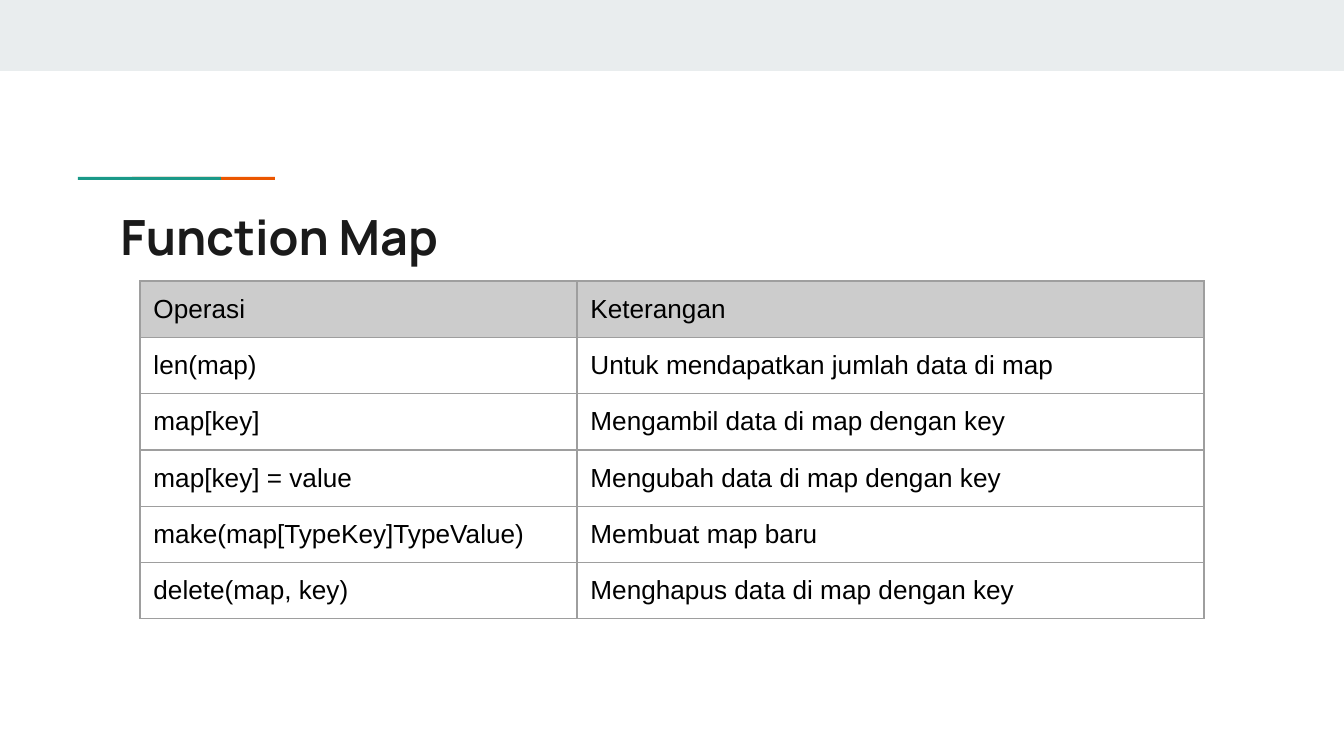
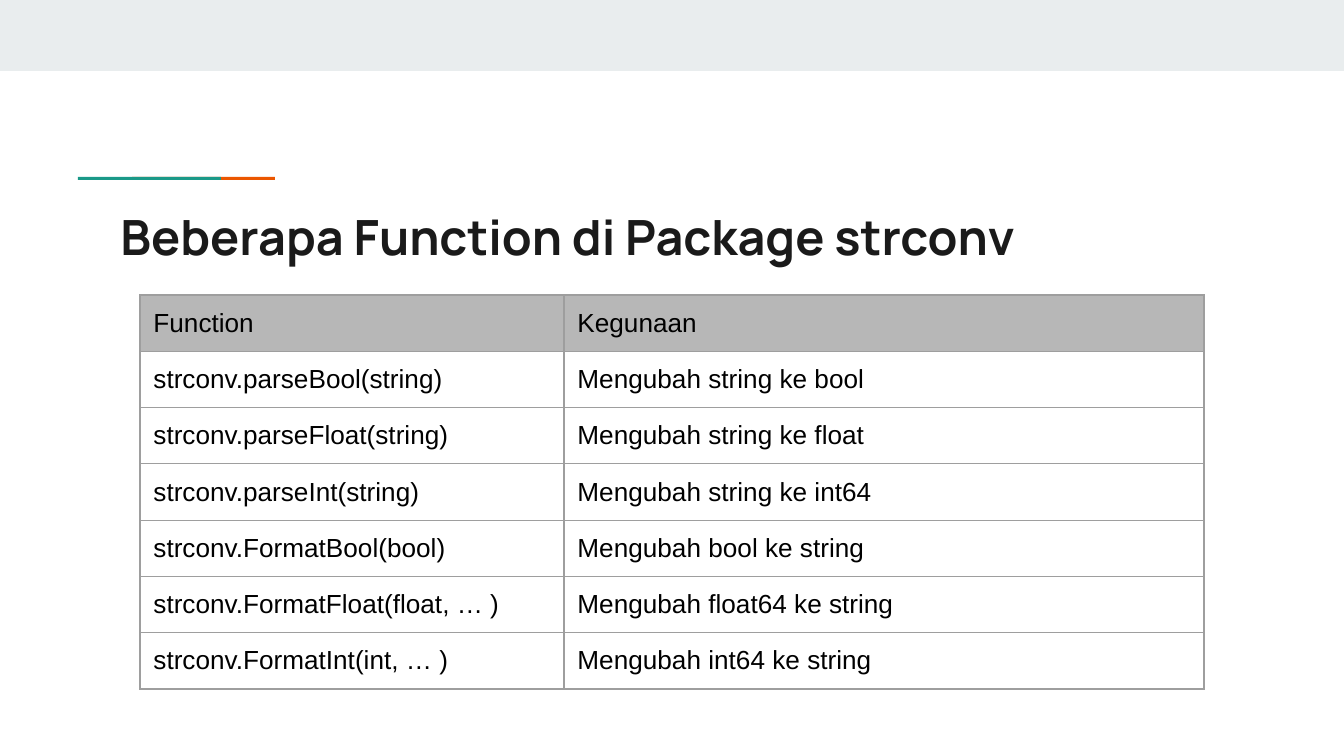
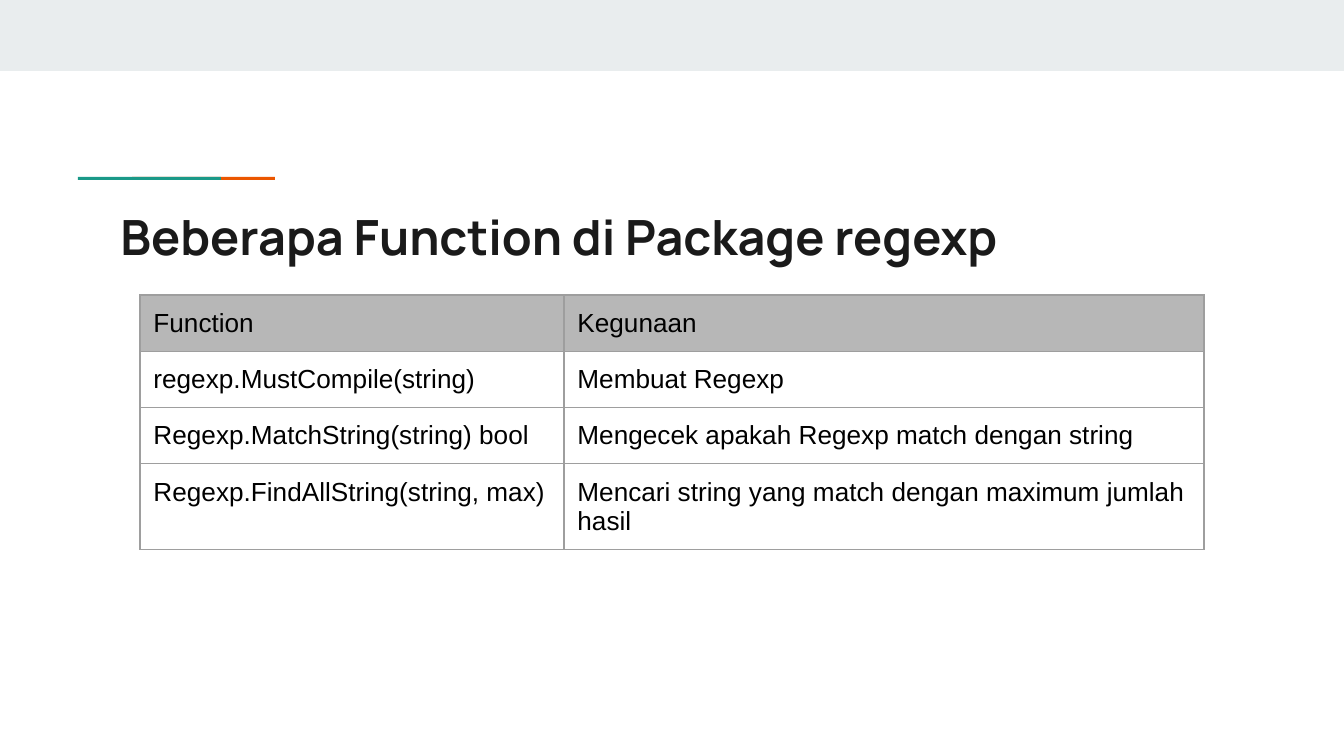
from lxml.etree import SubElement
from pptx import Presentation
from pptx.dml.color import RGBColor
from pptx.enum.shapes import MSO_SHAPE
from pptx.enum.text import MSO_ANCHOR, PP_ALIGN
from pptx.oxml.ns import qn
from pptx.util import Pt

PX = 914400 / 134.4
MIST = RGBColor(0xE9, 0xED, 0xEE)
ORANGE = RGBColor(0xEB, 0x56, 0x00)
TEAL = RGBColor(0x1A, 0x99, 0x88)
INK = RGBColor(0x1A, 0x1A, 0x1A)
BLACK = RGBColor(0x00, 0x00, 0x00)
EDGE = RGBColor(0x9E, 0x9E, 0x9E)
SILVER = RGBColor(0xCC, 0xCC, 0xCC)
GREY = RGBColor(0xB7, 0xB7, 0xB7)

LEFT, ROW, PAD = 140, 56, Pt(7.2)

# Band and accent bars, back to front: left, top, width, height, colour
BARS = [
    (0, 0, 1344, 71, MIST),
    (132, 177, 143, 3, ORANGE),
    (78, 177, 143, 3, TEAL),
]

# Title, table top, column widths, header colour, rows
PAGES = [
    ("Function Map", 281, (437, 627), SILVER, [
        ("Operasi", "Keterangan"),
        ("len(map)", "Untuk mendapatkan jumlah data di map"),
        ("map[key]", "Mengambil data di map dengan key"),
        ("map[key] = value", "Mengubah data di map dengan key"),
        ("make(map[TypeKey]TypeValue)", "Membuat map baru"),
        ("delete(map, key)", "Menghapus data di map dengan key"),
    ]),
    ("Beberapa Function di Package strconv", 295, (424, 640), GREY, [
        ("Function", "Kegunaan"),
        ("strconv.parseBool(string)", "Mengubah string ke bool"),
        ("strconv.parseFloat(string)", "Mengubah string ke float"),
        ("strconv.parseInt(string)", "Mengubah string ke int64"),
        ("strconv.FormatBool(bool)", "Mengubah bool ke string"),
        ("strconv.FormatFloat(float, … )", "Mengubah float64 ke string"),
        ("strconv.FormatInt(int, … )", "Mengubah int64 ke string"),
    ]),
    ("Beberapa Function di Package regexp", 295, (424, 640), GREY, [
        ("Function", "Kegunaan"),
        ("regexp.MustCompile(string)", "Membuat Regexp"),
        ("Regexp.MatchString(string) bool",
         "Mengecek apakah Regexp match dengan string"),
        ("Regexp.FindAllString(string, max)",
         "Mencari string yang match dengan maximum jumlah hasil"),
    ]),
]


def px(*nums):
    return [round(num * PX) for num in nums]


def write(frame, text, face, size, color, bold=False):
    para = frame.paragraphs[0]
    para.alignment = PP_ALIGN.LEFT
    run = para.add_run()
    run.text = text
    font = run.font
    font.name, font.size, font.bold = face, Pt(size), bold
    font.color.rgb = color


deck = Presentation()
deck.slide_width, deck.slide_height = px(1344, 756)

for name, top, widths, shade, rows in PAGES:
    slide = deck.slides.add_slide(deck.slide_layouts[5])

    # Band and accent
    for *box, color in BARS:
        bar = slide.shapes.add_shape(MSO_SHAPE.RECTANGLE, *px(*box))
        bar.shadow.inherit = False
        bar.fill.solid()
        bar.fill.fore_color.rgb = color
        bar.line.fill.background()

    # Title
    title = slide.shapes.title
    title.left, title.top, title.width, title.height = px(107, 194, 1130, 79)
    frame = title.text_frame
    frame.margin_left = frame.margin_right = PAD
    frame.margin_top = frame.margin_bottom = PAD
    frame.vertical_anchor = MSO_ANCHOR.TOP
    frame.word_wrap = True
    write(frame, name, "Manrope", 26, INK, True)

    # Table
    grid = slide.shapes.add_table(
        len(rows), len(widths),
        *px(LEFT, top, sum(widths), ROW * len(rows))).table
    grid.first_row = grid.horz_banding = False
    for col, width in zip(grid.columns, px(*widths)):
        col.width = width
    for r, texts in enumerate(rows):
        grid.rows[r].height = px(ROW)[0]
        for c, text in enumerate(texts):
            cell = grid.cell(r, c)
            cell.margin_left = cell.margin_right = PAD
            cell.margin_top = cell.margin_bottom = PAD
            write(cell.text_frame, text, "Arial", 14, BLACK)

            # Cell borders come before the fill
            props = cell._tc.get_or_add_tcPr()
            for side in ("a:lnL", "a:lnR", "a:lnT", "a:lnB"):
                line = SubElement(props, qn(side), w=str(Pt(0.75)))
                solid = SubElement(line, qn("a:solidFill"))
                SubElement(solid, qn("a:srgbClr"), val=str(EDGE))
            if r == 0:
                cell.fill.solid()
                cell.fill.fore_color.rgb = shade
            else:
                cell.fill.background()

deck.save("out.pptx")
